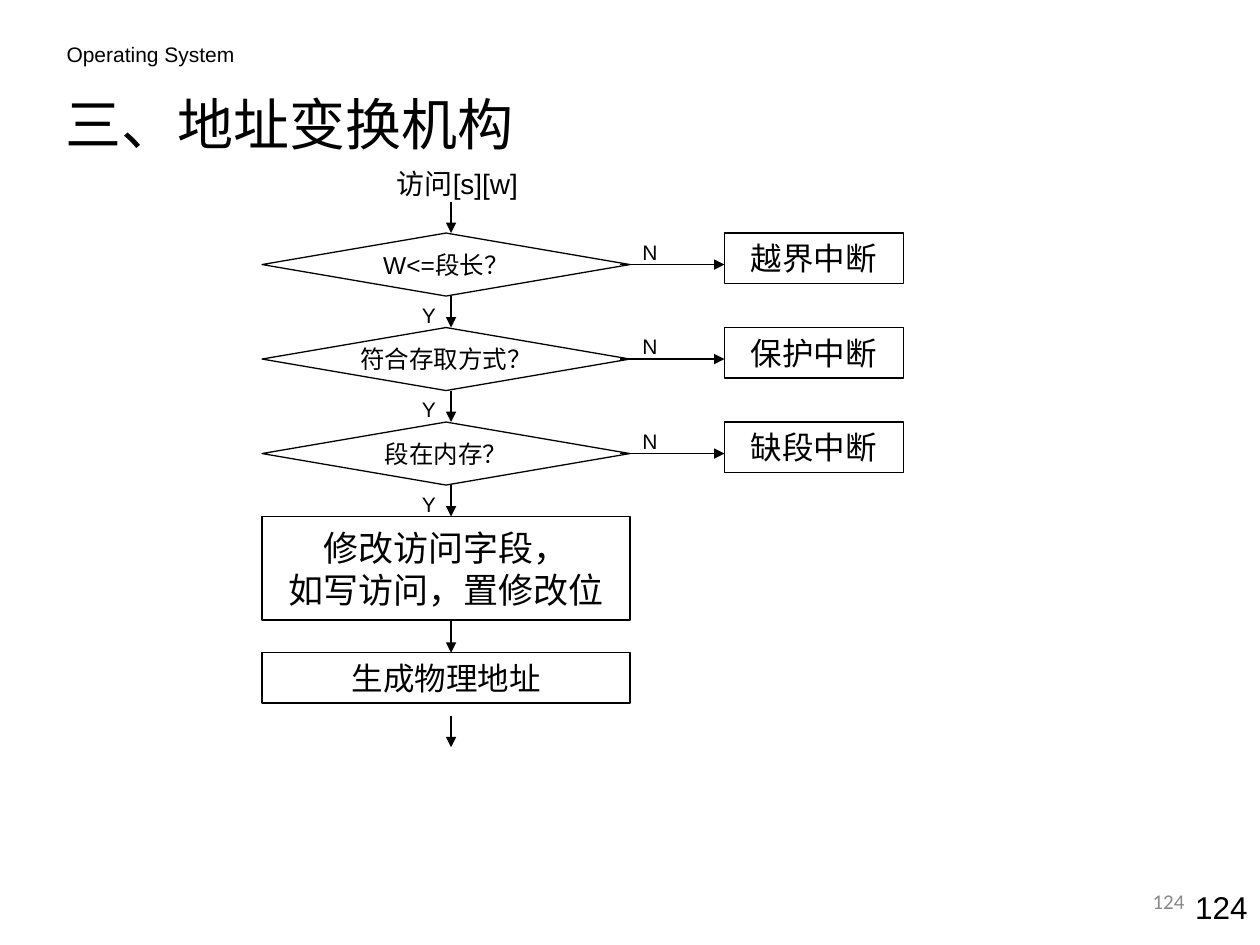
from dataclasses import dataclass

from lxml.etree import SubElement
from pptx import Presentation
from pptx.dml.color import RGBColor as Rgb
from pptx.enum.shapes import MSO_CONNECTOR as Conn, MSO_SHAPE as Kind
from pptx.enum.text import MSO_ANCHOR as Anchor, MSO_AUTO_SIZE as Fit, PP_ALIGN as Align
from pptx.oxml.ns import qn
from pptx.util import Inches, Pt


@dataclass(frozen=True)
class Theme:
    """Colours, fonts and type sizes of the slide."""
    ink: Rgb = Rgb(0, 0, 0)
    grey: Rgb = Rgb(0x89, 0x89, 0x89)
    face: str = "Arial"
    foot: str = "Calibri"
    han: str = "Noto Sans CJK SC"
    title: int = 32
    step: int = 20
    body: int = 18
    start: int = 16
    test: int = 14
    label: int = 12
    line: float = 0.75


LOOK = Theme()
LEFT, WIDE, SIDE, MID = 2.08, 2.92, 5.75, 3.58
TOP, PITCH, HIGH, GAP = 1.85, 0.75, 0.5, 0.25
BOX = 0.4
TESTS = [("W<=段长？", "越界中断"), ("符合存取方式？", "保护中断"), ("段在内存？", "缺段中断")]


def write(shape, text, size, align=Align.CENTER, face=LOOK.face, ink=LOOK.ink,
          anchor=Anchor.MIDDLE, side=0.1):
    """Fill a shape with formatted text, one paragraph a line."""
    frame = shape.text_frame
    frame.text = text
    form = {"word_wrap": True, "auto_size": Fit.NONE, "vertical_anchor": anchor,
            "margin_left": Inches(side), "margin_right": Inches(side),
            "margin_top": Inches(0.05), "margin_bottom": Inches(0.05)}
    for key, value in form.items():
        setattr(frame, key, value)
    for para in frame.paragraphs:
        para.alignment = align
        for run in para.runs:
            for key, value in {"size": Pt(size), "name": face}.items():
                setattr(run.font, key, value)
            run.font.color.rgb = ink
            SubElement(run.font._element, qn("a:ea"), typeface=LOOK.han)


def add_text(slide, area, text, size, **form):
    """Add a text box."""
    write(slide.shapes.add_textbox(*map(Inches, area)), text, size, **form)


def add_node(slide, kind, area, text, size):
    """Add an outlined flowchart node."""
    node = slide.shapes.add_shape(kind, *map(Inches, area))
    node.shadow.inherit = False
    node.fill.background()
    node.line.color.rgb = LOOK.ink
    node.line.width = Pt(LOOK.line)
    write(node, text, size, side=0)


def add_arrow(slide, *ends):
    """Add a straight arrow from the first point to the second."""
    arrow = slide.shapes.add_connector(Conn.STRAIGHT, *map(Inches, ends))
    arrow.line.color.rgb = LOOK.ink
    arrow.line.width = Pt(LOOK.line)
    SubElement(arrow.line._get_or_add_ln(), qn("a:tailEnd"), type="triangle")
    SubElement(arrow._element.spPr, qn("a:effectLst"))


def add_drop(slide, top):
    """Add a short arrow down the main path."""
    add_arrow(slide, MID, top, MID, top + GAP)


def add_test(slide, top, ask, fault):
    """Add a decision with its yes and no branches."""
    mid, end = top + HIGH / 2, top + HIGH
    add_node(slide, Kind.DIAMOND, (LEFT, top, WIDE, HIGH), ask, LOOK.test)
    add_node(slide, Kind.RECTANGLE, (SIDE, top, 1.42, BOX), fault, LOOK.body)
    add_arrow(slide, 4.92, mid, SIDE, mid)
    add_drop(slide, end)
    for mark, left, high in (("Y", 3.25, end), ("N", LEFT + WIDE, top)):
        add_text(slide, (left, high, 0.33, 0.3), mark, LOOK.label, align=Align.LEFT)


def add_head(slide):
    """Add the course name, the title and the page numbers."""
    add_text(slide, (0.43, 0.28, 4.1, 0.3), "Operating System", LOOK.label,
             align=Align.LEFT, anchor=Anchor.TOP)
    title = slide.shapes.title
    area = {"left": 0.42, "top": 0.6, "width": 8.92, "height": 0.75}
    for key, value in area.items():
        setattr(title, key, Inches(value))
    write(title, "三、地址变换机构", LOOK.title, align=Align.LEFT, face=LOOK.han)
    add_text(slide, (9.17, 7, 0.83, 0.4), "124", LOOK.body, align=Align.RIGHT)
    add_text(slide, (7.17, 6.95, 2.33, 0.4), "124", LOOK.label,
             align=Align.RIGHT, face=LOOK.foot, ink=LOOK.grey)


def add_flow(slide):
    """Add the address translation flowchart."""
    add_text(slide, (2.92, 1.27, 1.42, 0.37), "访问[s][w]", LOOK.start)
    add_drop(slide, TOP - GAP)
    for row, (ask, fault) in enumerate(TESTS):
        add_test(slide, TOP + row * PITCH, ask, fault)
    top = TOP + len(TESTS) * PITCH
    add_node(slide, Kind.RECTANGLE, (LEFT, top, WIDE, 0.82),
             "修改访问字段，\n如写访问，置修改位", LOOK.step)
    last = top + 1.08
    add_drop(slide, last - GAP)
    add_node(slide, Kind.RECTANGLE, (LEFT, last, WIDE, BOX), "生成物理地址", LOOK.body)
    add_drop(slide, last + HIGH)


def main():
    """Build and save the slide."""
    deck = Presentation()
    deck.slide_width, deck.slide_height = Inches(10), Inches(7.5)
    slide = deck.slides.add_slide(deck.slide_layouts[5])
    add_head(slide)
    add_flow(slide)
    deck.save("out.pptx")


if __name__ == "__main__":
    main()
